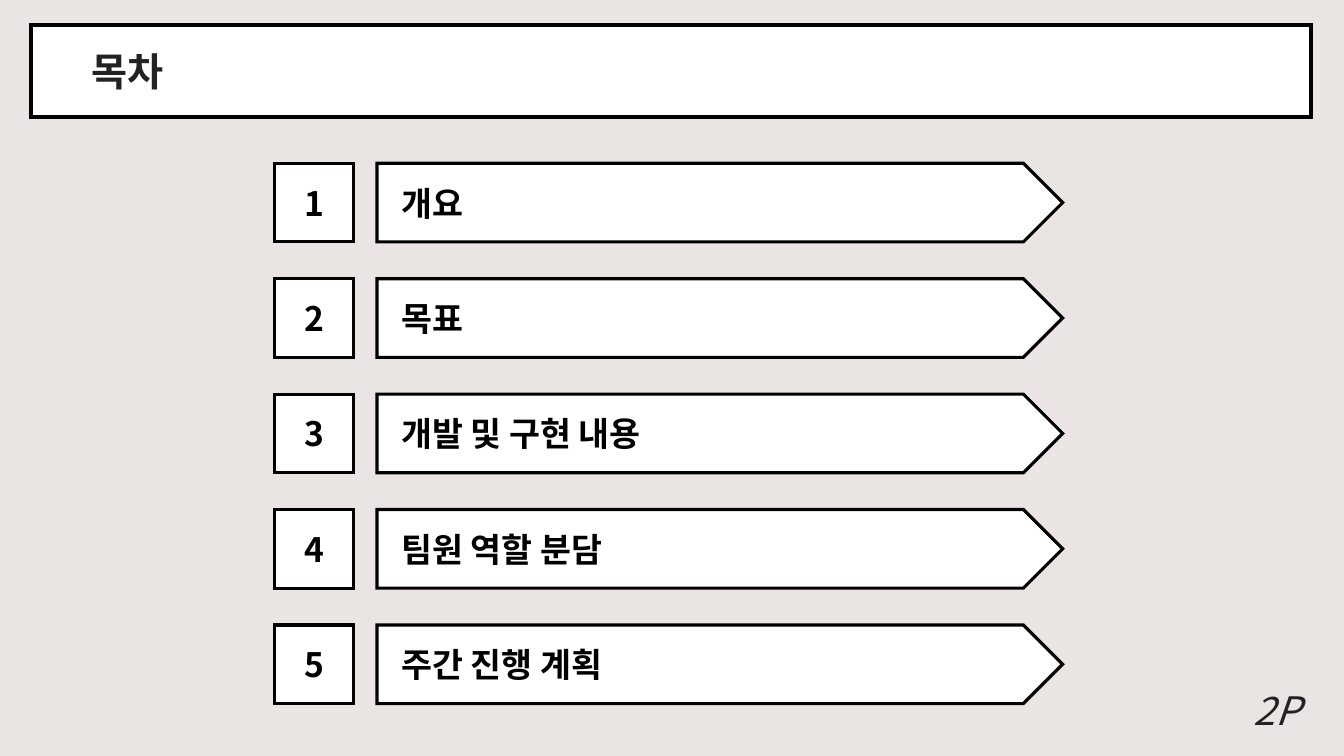
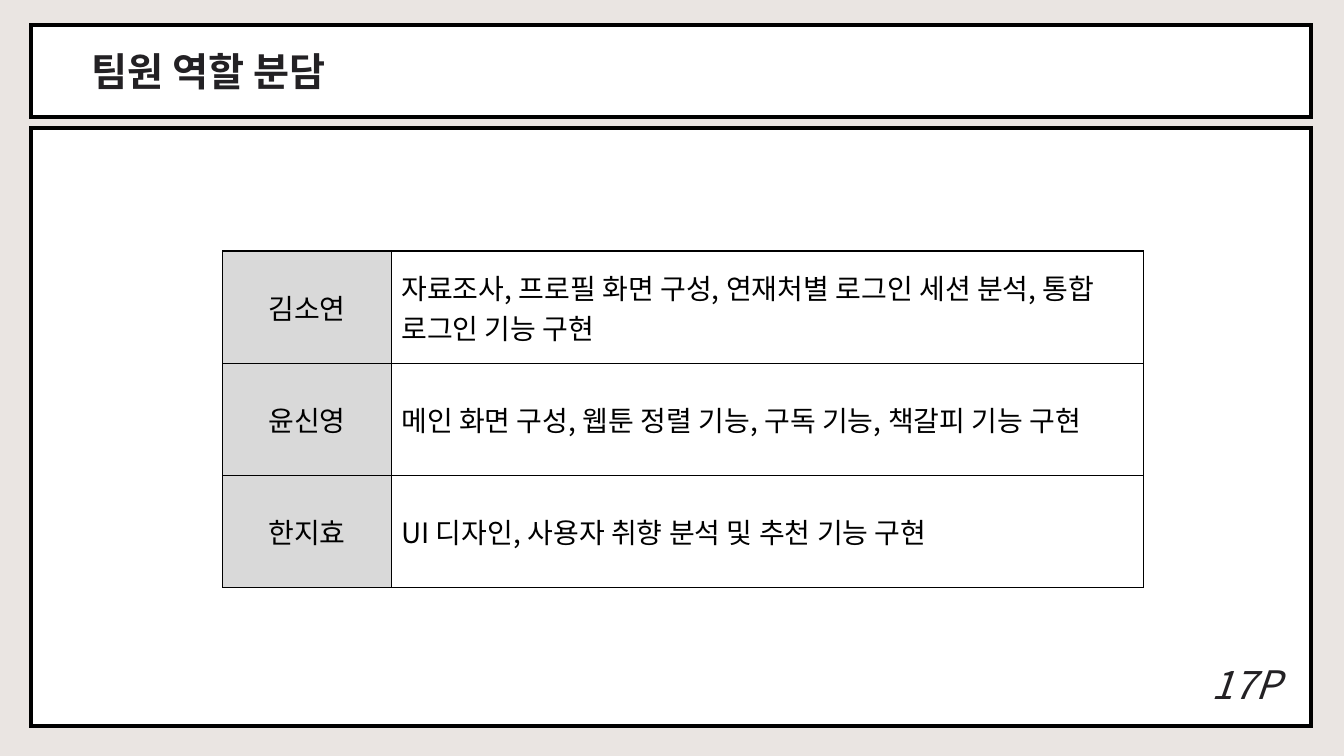
from pptx import Presentation
from pptx.dml.color import RGBColor
from pptx.enum.shapes import MSO_SHAPE
from pptx.enum.text import MSO_ANCHOR, PP_ALIGN
from pptx.oxml.ns import qn
from pptx.util import Inches, Pt
from lxml.etree import SubElement

# Content
AGENDA = {
    "title": "목차",
    "page": "2P",
    "topics": ["개요", "목표", "개발 및 구현 내용", "팀원 역할 분담", "주간 진행 계획"],
}
ROLES = {
    "title": "팀원 역할 분담",
    "page": "17P",
    "members": [
        ("김소연", "자료조사, 프로필 화면 구성, 연재처별 로그인 세션 분석, 통합 로그인 기능 구현"),
        ("윤신영", "메인 화면 구성, 웹툰 정렬 기능, 구독 기능, 책갈피 기능 구현"),
        ("한지효", "UI 디자인, 사용자 취향 분석 및 추천 기능 구현"),
    ],
}

# Shared look
BACKDROP = RGBColor(0xEA, 0xE5, 0xE2)
WHITE = RGBColor(0xFF, 0xFF, 0xFF)
BLACK = RGBColor(0, 0, 0)
INK = RGBColor(0x23, 0x21, 0x24)
GRAY = RGBColor(0xD9, 0xD9, 0xD9)
FONT = "Noto Sans CJK KR"
TITLE = {"size": Pt(28), "bold": True, "color": INK}
PAGE = {"size": Pt(28), "italic": True, "color": INK}
TOPIC = {"size": Pt(24), "bold": True, "color": BLACK}
BODY = {"size": Pt(20), "color": BLACK}
FRAME_LEFT, FRAME_WIDTH = 0.31, 12.69


def write(frame, text, style, align=PP_ALIGN.LEFT):
    paragraph = frame.paragraphs[0]
    paragraph.alignment = align
    run = paragraph.add_run()
    run.text = text
    run.font.name = FONT
    for name, value in style.items():
        if name == "color":
            run.font.color.rgb = value
        else:
            setattr(run.font, name, value)
    SubElement(run.font._element, qn("a:ea"), typeface=FONT)


def add_box(slide, kind, left, top, width, height, line_width):
    box = slide.shapes.add_shape(
        kind, Inches(left), Inches(top), Inches(width), Inches(height))
    box.shadow.inherit = False
    box.fill.solid()
    box.fill.fore_color.rgb = WHITE
    box.line.color.rgb = BLACK
    box.line.width = Pt(line_width)
    SubElement(box.line._get_or_add_ln(), qn("a:miter"), lim="800000")
    box.text_frame.vertical_anchor = MSO_ANCHOR.MIDDLE
    return box


def add_base(deck, title):
    slide = deck.slides.add_slide(deck.slide_layouts[6])
    slide.background.fill.solid()
    slide.background.fill.fore_color.rgb = BACKDROP
    band = add_box(slide, MSO_SHAPE.RECTANGLE, FRAME_LEFT, 0.25, FRAME_WIDTH, 0.91, 3)
    band.text_frame.margin_left = Inches(0.6)
    write(band.text_frame, title, TITLE)
    return slide


def add_page_number(slide, page, left, top, width):
    number = slide.shapes.add_textbox(
        Inches(left), Inches(top), Inches(width), Inches(0.57))
    number.text_frame.word_wrap = True
    write(number.text_frame, page, PAGE, PP_ALIGN.CENTER)


def style_cell(cell, fill, right_margin):
    cell.vertical_anchor = MSO_ANCHOR.MIDDLE
    cell.margin_right = Inches(right_margin)
    properties = cell._tc.get_or_add_tcPr()
    for side in ("a:lnL", "a:lnR", "a:lnT", "a:lnB"):
        border = SubElement(properties, qn(side), w=str(Pt(1)))
        paint = SubElement(border, qn("a:solidFill"))
        SubElement(paint, qn("a:srgbClr"), val=str(BLACK))
    cell.fill.solid()
    cell.fill.fore_color.rgb = fill


def build_agenda(deck):
    slide = add_base(deck, AGENDA["title"])
    add_page_number(slide, AGENDA["page"], 12.25, 6.76, 0.83)

    # Numbered arrows at an equal pitch
    first_top, last_top, height = 1.62, 6.2, 0.78
    pitch = (last_top - first_top) / (len(AGENDA["topics"]) - 1)
    for index, topic in enumerate(AGENDA["topics"]):
        top = first_top + index * pitch
        number = add_box(slide, MSO_SHAPE.RECTANGLE, 2.72, top, 0.79, height, 2.25)
        write(number.text_frame, str(index + 1), TOPIC, PP_ALIGN.CENTER)
        arrow = add_box(slide, MSO_SHAPE.PENTAGON, 3.74, top, 6.8, height, 2.25)
        arrow.text_frame.margin_left = Inches(0.24)
        write(arrow.text_frame, topic, TOPIC)


def build_roles(deck):
    slide = add_base(deck, ROLES["title"])
    add_box(slide, MSO_SHAPE.RECTANGLE, FRAME_LEFT, 1.27, FRAME_WIDTH, 5.93, 3)
    # Page number clear of the frame's border
    add_page_number(slide, ROLES["page"], 11.8, 6.5, 1.11)

    # Member and task table
    members = ROLES["members"]
    widths, height = (1.67, 7.46), 3.34
    table = slide.shapes.add_table(
        len(members), len(widths), Inches(2.21), Inches(2.49),
        Inches(sum(widths)), Inches(height)).table
    table.first_row = table.horz_banding = False
    for column, width in zip(table.columns, widths):
        column.width = Inches(width)
    looks = ((GRAY, 0.1, PP_ALIGN.CENTER), (WHITE, 0.3, PP_ALIGN.LEFT))
    for row, member in zip(table.rows, members):
        row.height = Inches(height / len(members))
        for cell, text, (fill, right_margin, align) in zip(row.cells, member, looks):
            style_cell(cell, fill, right_margin)
            write(cell.text_frame, text, BODY, align)


def main():
    deck = Presentation()
    deck.slide_width, deck.slide_height = Inches(13.33), Inches(7.5)
    build_agenda(deck)
    build_roles(deck)
    deck.save("out.pptx")


if __name__ == "__main__":
    main()
